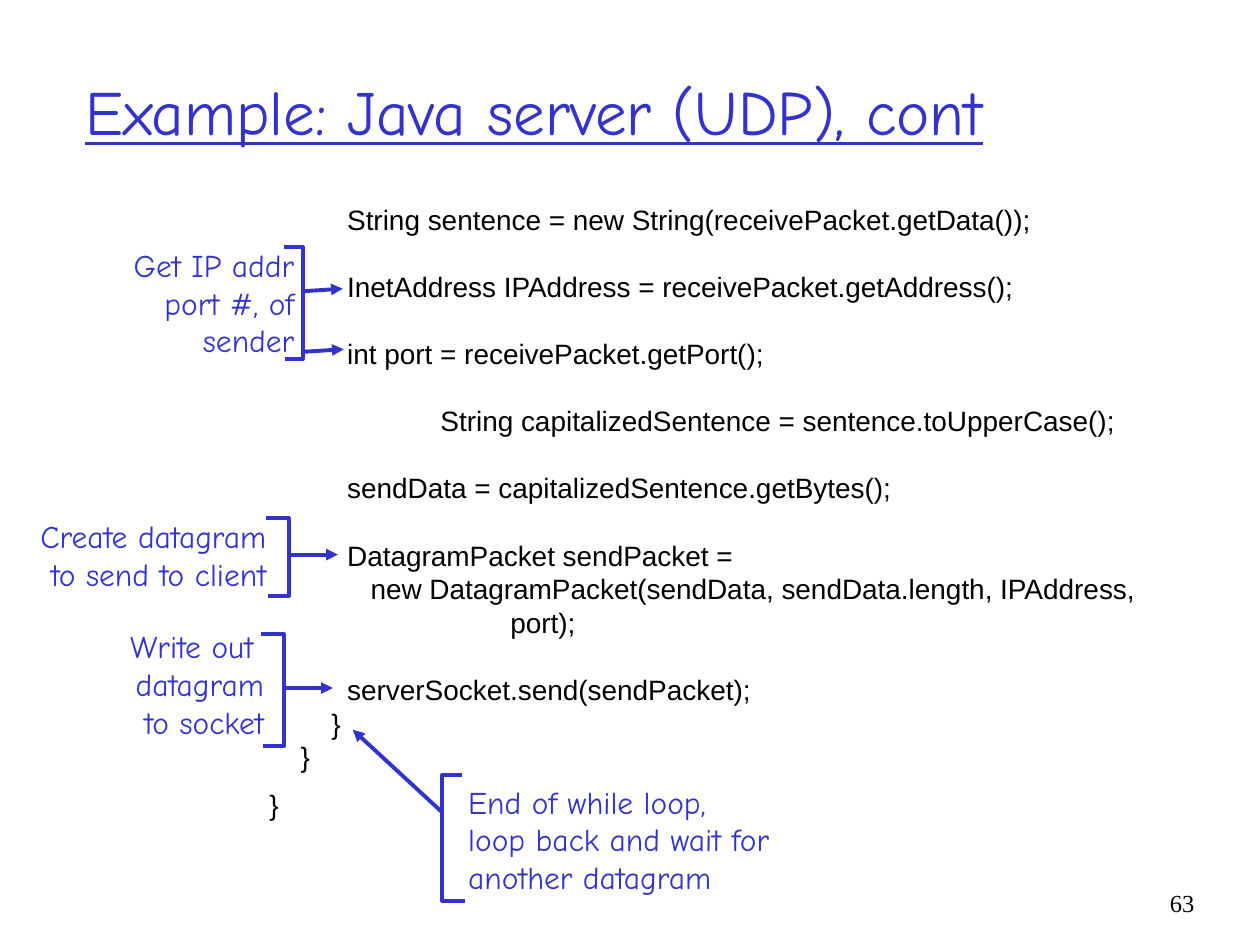
from dataclasses import dataclass

from lxml.etree import SubElement
from pptx import Presentation
from pptx.dml.color import RGBColor
from pptx.enum.text import MSO_ANCHOR as Anchor, PP_ALIGN as Align
from pptx.enum.shapes import MSO_CONNECTOR as Connector
from pptx.oxml.ns import qn
from pptx.util import Cm, Pt

BLUE, BLACK = "3333CC", "000000"
COMIC, ARIAL, TIMES = "Comic Neue", "Arial", "Times New Roman"
CODE_PITCH, NOTE_PITCH = 19.2, 21.6


@dataclass
class CodeLine:
    text: str
    indent: float = 1.57
    gap: float = 0


@dataclass
class Note:
    lines: list[str]
    box: tuple[float, float, float, float]
    bracket: list[tuple[float, float]]
    arrows: list[tuple[float, float, float, float]]
    align: Align = Align.RIGHT
    wrap: bool = False


CODE = [
    CodeLine("String sentence = new String(receivePacket.getData());"),
    CodeLine("InetAddress IPAddress = receivePacket.getAddress();", gap=CODE_PITCH),
    CodeLine("int port = receivePacket.getPort();", gap=CODE_PITCH),
    CodeLine("String capitalizedSentence = sentence.toUpperCase();", 3.45, CODE_PITCH),
    CodeLine("sendData = capitalizedSentence.getBytes();", gap=CODE_PITCH),
    CodeLine("DatagramPacket sendPacket =", gap=CODE_PITCH),
    CodeLine("new DatagramPacket(sendData, sendData.length, IPAddress,", 2.04),
    CodeLine("port);", 4.86),
    CodeLine("serverSocket.send(sendPacket);", gap=CODE_PITCH),
    CodeLine("}", 1.25),
    CodeLine("}", 0.63),
    CodeLine("}", 0, 8),
]

NOTES = [
    Note(["Get IP addr", "port #, of", "sender"], (0.36, 4.83, 5.82, 2.54),
         [(5.72, 4.98), (6.1, 4.98), (6.1, 7.24), (5.74, 7.24)],
         [(6.12, 5.87, 6.91, 5.82), (6.15, 7.09, 6.93, 7.04)], wrap=True),
    Note(["Create datagram", "to send to client"], (0.51, 10.29, 5.11, 1.78),
         [(5.36, 10.44), (5.82, 10.44), (5.82, 12.01), (5.41, 12.01)],
         [(5.87, 11.18, 6.81, 11.18)]),
    Note(["Write out ", "datagram", "to socket"], (2.34, 12.52, 3.23, 2.54),
         [(5.26, 12.78), (5.72, 12.78), (5.72, 15.04), (5.31, 15.04)],
         [(5.77, 13.87, 6.71, 13.87)]),
    Note(["End of while loop,", "loop back and wait for", "another datagram"],
         (9.19, 15.65, 6.6, 2.54),
         [(9.32, 15.62), (8.92, 15.62), (8.92, 18.16), (9.37, 18.16)],
         [(8.92, 16.38, 7.11, 14.71)], Align.LEFT),
]


def color(hex_value: str) -> RGBColor:
    return RGBColor.from_string(hex_value)


def add_frame(slide, box: tuple, anchor=Anchor.MIDDLE, wrap: bool = True):
    frame = slide.shapes.add_textbox(*map(Cm, box)).text_frame
    frame.word_wrap = wrap
    frame.vertical_anchor = anchor
    return frame


def add_line(frame, index: int, text: str, font: str, size: int, ink: str,
             align=Align.LEFT, pitch: float | None = None):
    paragraph = frame.add_paragraph() if index else frame.paragraphs[0]
    paragraph.alignment = align
    if pitch:
        paragraph.line_spacing = Pt(pitch)
    run = paragraph.add_run()
    run.text = text
    run.font.name = font
    run.font.size = Pt(size)
    run.font.color.rgb = color(ink)
    return paragraph


def add_code(slide, lines: list[CodeLine]) -> None:
    frame = add_frame(slide, (5.18, 3.28, 18.16, 13.46), Anchor.TOP)
    frame.margin_top = Cm(0.8)
    for index, line in enumerate(lines):
        paragraph = add_line(frame, index, line.text, ARIAL, 16, BLACK, pitch=CODE_PITCH)
        paragraph.space_before = Pt(line.gap)
        paragraph._p.get_or_add_pPr().set("marL", str(Cm(line.indent)))


def add_bracket(slide, points: list[tuple[float, float]]) -> None:
    start, *rest = [(Cm(x), Cm(y)) for x, y in points]
    builder = slide.shapes.build_freeform(*start)
    builder.add_line_segments(rest, close=False)
    bracket = builder.convert_to_shape()
    bracket.shadow.inherit = False
    bracket.fill.background()
    bracket.line.color.rgb = color(BLUE)
    bracket.line.width = Pt(2.25)


def add_arrow(slide, ends: tuple[float, float, float, float]) -> None:
    arrow = slide.shapes.add_connector(Connector.STRAIGHT, *map(Cm, ends))
    arrow.line.color.rgb = color(BLUE)
    arrow.line.width = Pt(2.25)
    SubElement(arrow.line._get_or_add_ln(), qn("a:tailEnd"), type="triangle")
    SubElement(arrow._element.spPr, qn("a:effectLst"))


def add_note(slide, note: Note) -> None:
    frame = add_frame(slide, note.box, wrap=note.wrap)
    for index, text in enumerate(note.lines):
        add_line(frame, index, text, COMIC, 18, BLUE, note.align, NOTE_PITCH)
    add_bracket(slide, note.bracket)
    for ends in note.arrows:
        add_arrow(slide, ends)


def main() -> None:
    """Build the slide on the end of the Java UDP server example."""
    deck = Presentation()
    deck.slide_width, deck.slide_height = Cm(25.4), Cm(19.05)
    slide = deck.slides.add_slide(deck.slide_layouts[6])

    heading = add_frame(slide, (1.47, 0.64, 21.59, 3.18))
    title = add_line(heading, 0, "Example: Java server (UDP), cont", COMIC, 36, BLUE)
    title.runs[0].font.underline = True

    add_code(slide, CODE)
    for note in NOTES:
        add_note(slide, note)

    footer = add_frame(slide, (23.06, 17.78, 1.27, 1.27), Anchor.TOP)
    add_line(footer, 0, "63", TIMES, 14, BLACK, Align.RIGHT)
    deck.save("out.pptx")


if __name__ == "__main__":
    main()
